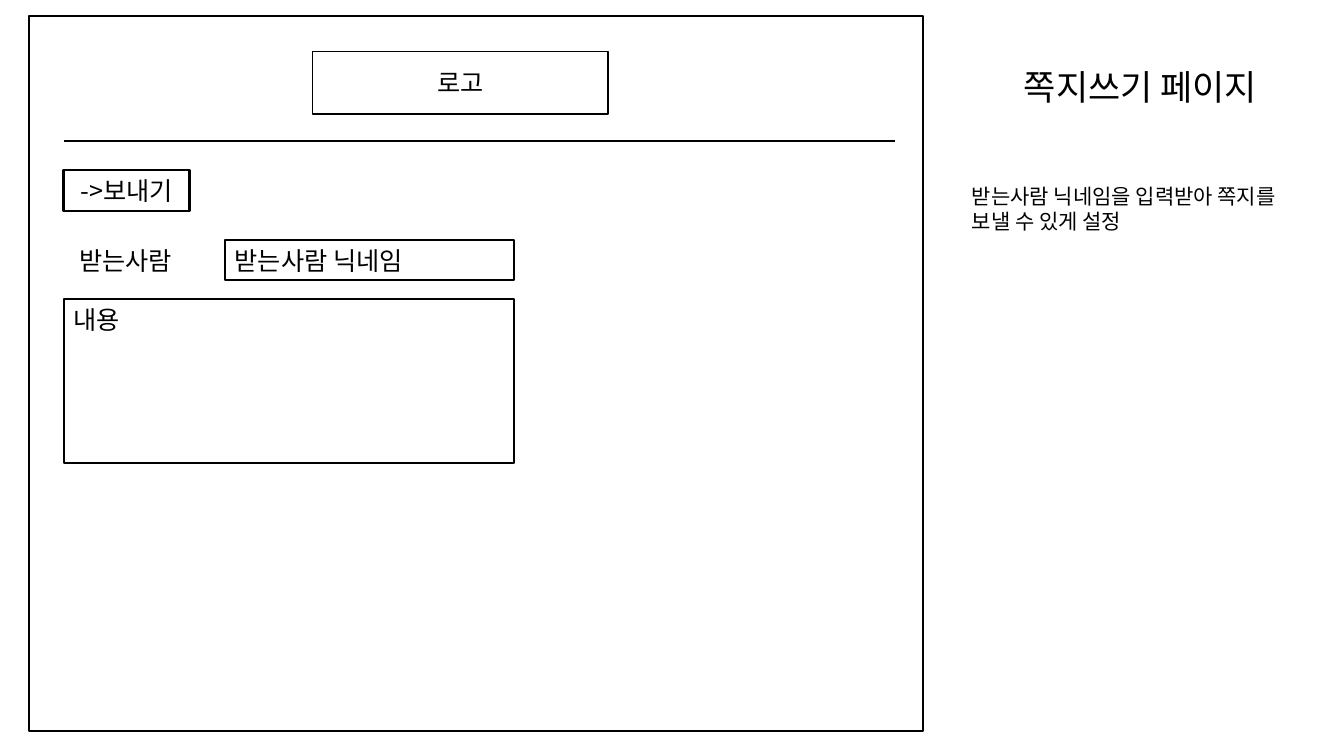
"""Build the wireframe slide for the message-writing page."""
from lxml import etree
from pptx import Presentation, util as u
from pptx.dml.color import RGBColor
from pptx.enum import shapes, text
from pptx.oxml.ns import qn

FONT = "Noto Sans CJK KR"
BLACK = RGBColor(0, 0, 0)
WHITE = RGBColor(255, 255, 255)
MID, TOP = text.MSO_ANCHOR.MIDDLE, text.MSO_ANCHOR.TOP
CENTER, LEFT = text.PP_ALIGN.CENTER, text.PP_ALIGN.LEFT

WIDE, HIGH = u.Inches(13.33), u.Inches(7.5)
EDGE, SPLIT, RIGHT = 4.73, 16.73, 38.26
ROW = 5.33

TITLE = ("쪽지쓰기 페이지", (73.97, 8.4, 21.76, 6.67))
RULE = (EDGE, 66.62, 18.67)
BOXES = [
    ("", (2.18, 2.13, 66.47, 94.53), WHITE, 1.5, LEFT, TOP),
    ("로고", (23.26, 6.8, 21.98, 8.27), WHITE, 1, CENTER, MID),
    ("받는사람 닉네임", (SPLIT, 31.73, RIGHT - SPLIT, ROW), None, 1.5, LEFT, TOP),
    ("내용", (EDGE, 39.6, RIGHT - EDGE, 21.6), None, 1.5, LEFT, TOP),
    ("->보내기", (EDGE, 22.53, 9.38, ROW), None, 1.5, CENTER, TOP),
]
NOTES = [
    ("받는사람", (EDGE, 31.73, 9.23, ROW), 18, CENTER),
    ("받는사람 닉네임을 입력받아 쪽지를 보낼 수 있게 설정",
     (71.57, 23.6, 27.08, 8.13), 15, LEFT),
]


def across(share):
    return round(WIDE * share / 100)


def down(share):
    return round(HIGH * share / 100)


def place(area):
    left, top, width, height = area
    return across(left), down(top), across(width), down(height)


def write(shape, words, size, align, anchor):
    frame = shape.text_frame
    frame.word_wrap = True
    frame.auto_size = text.MSO_AUTO_SIZE.NONE
    frame.vertical_anchor = anchor
    para = frame.paragraphs[0]
    para.text = words
    para.alignment = align
    font = para.font
    font.size = u.Pt(size)
    font.color.rgb = BLACK
    font.name = FONT
    props = para._p.find(".//" + qn("a:defRPr"))
    etree.SubElement(props, qn("a:ea")).set("typeface", FONT)
    return para


def add_box(slide, words, area, fill, weight, align, anchor):
    box = slide.shapes.add_shape(shapes.MSO_SHAPE.RECTANGLE, *place(area))
    box.shadow.inherit = False
    if fill is None:
        box.fill.background()
    else:
        box.fill.solid()
        box.fill.fore_color.rgb = fill
    box.line.color.rgb = BLACK
    box.line.width = u.Pt(weight)
    if words:
        write(box, words, 18, align, anchor)


def add_rule(slide):
    start, end, level = RULE
    rule = slide.shapes.add_connector(
        shapes.MSO_CONNECTOR.STRAIGHT,
        across(start), down(level), across(end), down(level))
    rule.line.color.rgb = BLACK
    rule.line.width = u.Pt(1)
    etree.SubElement(rule._element.spPr, qn("a:effectLst"))


def main():
    deck = Presentation()
    deck.slide_width, deck.slide_height = WIDE, HIGH
    slide = deck.slides.add_slide(deck.slide_layouts[5])
    title = slide.shapes.title
    words, area = TITLE
    title.left, title.top, title.width, title.height = place(area)
    write(title, words, 25, CENTER, MID).line_spacing = 0.9
    for box in BOXES:
        add_box(slide, *box)
    add_rule(slide)
    for words, area, size, align in NOTES:
        note = slide.shapes.add_textbox(*place(area))
        write(note, words, size, align, TOP)
    deck.save("out.pptx")


if __name__ == "__main__":
    main()
